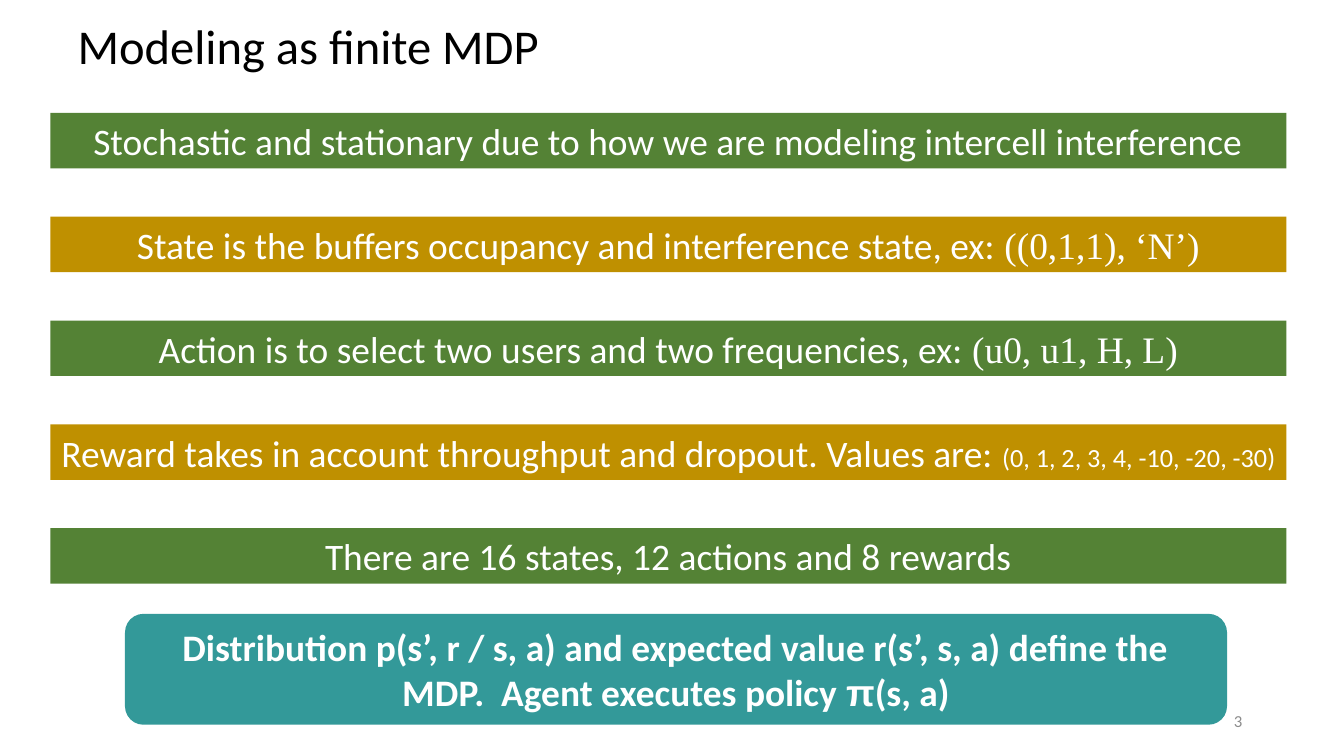
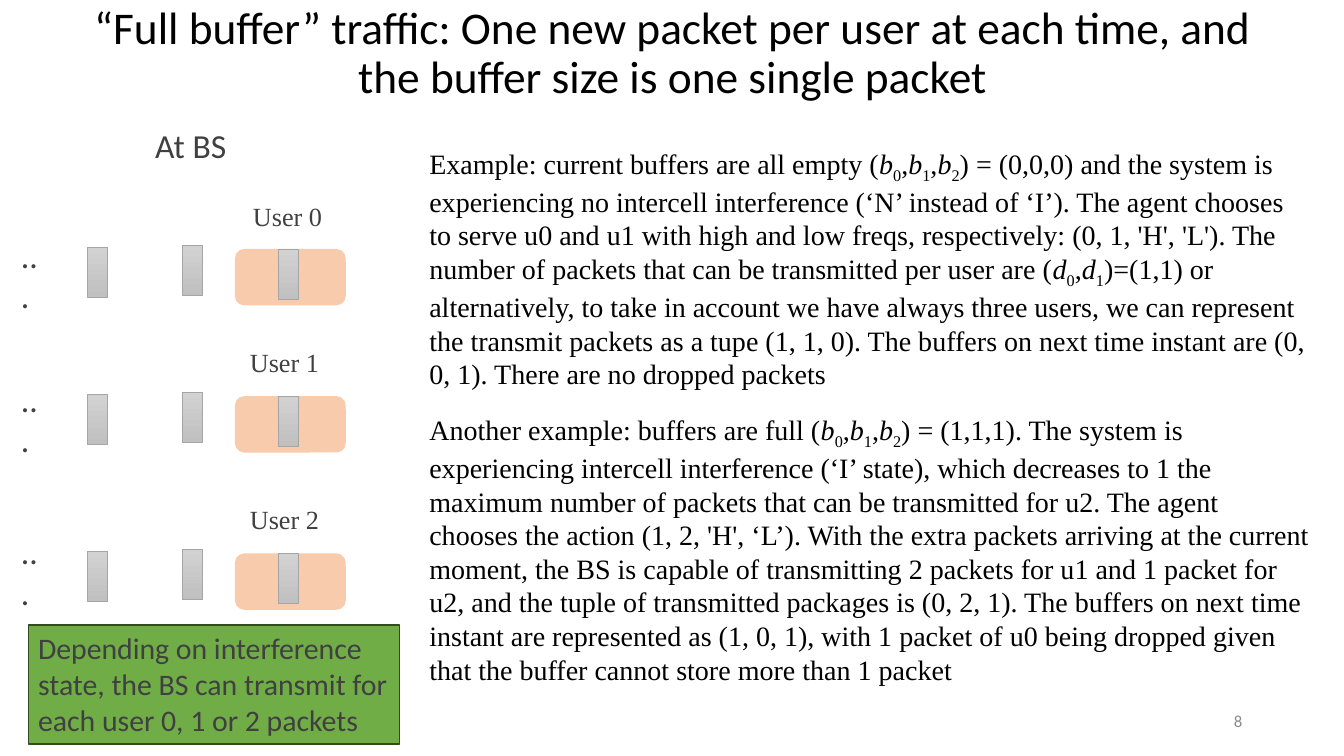
import pptx
import pptx.util
import pptx.dml.color
import pptx.enum.shapes
import pptx.enum.text

PX = 9144
SHAPE = pptx.enum.shapes.MSO_SHAPE
ALIGN = pptx.enum.text.PP_ALIGN
ANCHOR = pptx.enum.text.MSO_ANCHOR
SERIF = "Times New Roman"
COLORS = {
    "black": "000000",
    "white": "FFFFFF",
    "gray": "404040",
    "page": "8C8C8C",
    "green": "548235",
    "gold": "BF9000",
    "teal": "339999",
    "buffer": "F8CBAD",
    "packet_top": "D2D2D2",
    "packet_bottom": "C0C0C0",
    "packet_edge": "A5A5A5",
    "note": "70AD47",
    "note_edge": "314C1F",
}


def rgb(name):
    return pptx.dml.color.RGBColor.from_string(COLORS[name])


def px(*lengths):
    return [pptx.util.Emu(length * PX) for length in lengths]


def add_run(paragraph, text, size=20, font="Calibri", color="black",
            bold=False, italic=False, baseline=0):
    run = paragraph.add_run()
    run.text = text
    run.font.size = pptx.util.Pt(size)
    run.font.name = font
    run.font.bold = bold
    run.font.italic = italic
    run.font.color.rgb = rgb(color)
    if baseline:
        run._r.get_or_add_rPr().set("baseline", str(baseline * 1000))


def indexed(letter, count):
    runs = []
    for index in range(count):
        if index:
            runs.append((",", {}))
        runs.append((letter, {"italic": True}))
        runs.append((str(index), {"baseline": -25}))
    return runs


class Deck:
    def __init__(self):
        self.presentation = pptx.Presentation()
        self.presentation.slide_width, self.presentation.slide_height = px(1333, 750)
        self.slide = None

    def set_text(self, frame, content, align=ALIGN.LEFT, anchor=ANCHOR.TOP,
                 wrap=True, spacing=None, **style):
        frame.auto_size = pptx.enum.text.MSO_AUTO_SIZE.NONE
        frame.word_wrap = wrap
        frame.vertical_anchor = anchor
        frame.margin_left, frame.margin_right = px(10, 10)
        frame.margin_top, frame.margin_bottom = px(5, 5)
        paragraph = frame.paragraphs[0]
        paragraph.alignment = align
        paragraph.line_spacing = spacing
        runs = [(content, {})] if isinstance(content, str) else content
        for text, changes in runs:
            add_run(paragraph, text, **{**style, **changes})

    def start(self, title, number, top, size, align):
        layout = self.presentation.slide_layouts[5]
        self.slide = self.presentation.slides.add_slide(layout)
        heading = self.slide.shapes.title
        heading.left, heading.top, heading.width, heading.height = px(67, top, 1200, 102)
        self.set_text(heading.text_frame, title, align=align, anchor=ANCHOR.MIDDLE,
                      spacing=0.9, size=size)
        self.label((942, 695, 300, 40), number, align=ALIGN.RIGHT,
                   anchor=ANCHOR.MIDDLE, size=12, color="page")

    def label(self, box, content, **style):
        frame = self.slide.shapes.add_textbox(*px(*box)).text_frame
        self.set_text(frame, content, **style)

    def block(self, box, fill, content=None, kind=SHAPE.RECTANGLE, edge=None,
              edge_width=1, **style):
        block = self.slide.shapes.add_shape(kind, *px(*box))
        block.shadow.inherit = False
        block.fill.solid()
        block.fill.fore_color.rgb = rgb(fill)
        if edge:
            block.line.color.rgb = rgb(edge)
            block.line.width = pptx.util.Pt(edge_width)
        else:
            block.line.fill.background()
        if content:
            self.set_text(block.text_frame, content, **style)
        return block

    def packet(self, left, top):
        packet = self.block((left, top, 20, 50), "packet_top",
                            edge="packet_edge", edge_width=0.5)
        packet.fill.gradient()
        packet.fill.gradient_angle = 270
        for stop, color in zip(packet.fill.gradient_stops,
                               ("packet_top", "packet_bottom")):
            stop.color.rgb = rgb(color)

    def queue(self, user, top, label_left, label_top, dots_top):
        self.block((233, top, 110, 56), "buffer", kind=SHAPE.ROUNDED_RECTANGLE)
        for left, rise in ((87, 2), (181, 4), (276, 0)):
            self.packet(left, top - rise)
        self.label((label_left, label_top, 89, 42), f"User {user}", wrap=False,
                   size=18.7, font=SERIF, color="gray")
        self.label((11, dots_top, 42, 50), "...", size=24, color="gray")


def build_model(deck):
    deck.start("Modeling as finite MDP", "3", top=-3, size=34.7, align=ALIGN.LEFT)
    statement = {"size": 26.7, "color": "white", "align": ALIGN.CENTER,
                 "anchor": ANCHOR.MIDDLE}
    facts = [
        "Stochastic and stationary due to how we are modeling intercell interference",
        [("State is the buffers occupancy and interference state, ex: ", {}),
         ("((0,1,1), ‘N’)", {"font": SERIF})],
        [("Action is to select two users and two frequencies, ex: ", {}),
         ("(u0, u1, H, L)", {"font": SERIF})],
        [("Reward takes in account throughput and dropout. Values are: ", {}),
         ("(0, 1, 2, 3, 4, -10, -20, -30)", {"size": 18.7})],
        "There are 16 states, 12 actions and 8 rewards",
    ]
    for row, fact in enumerate(facts):
        deck.block((50, 112 + 103 * row, 1226, 55), ("green", "gold")[row % 2],
                   fact, **statement)
    policy = [
        ("Distribution p(s’, r / s, a) and expected value r(s’, s, a) define the "
         "MDP.  Agent executes policy ", {}),
        ("π", {"font": "Arial"}),
        ("(s, a)", {}),
    ]
    deck.block((124, 609, 1093, 110), "teal", policy,
               kind=SHAPE.ROUNDED_RECTANGLE, bold=True, **statement)


def build_traffic(deck):
    deck.start("“Full buffer” traffic: One new packet per user at each time, and "
               "the buffer size is one single packet", "8",
               top=3, size=32.4, align=ALIGN.CENTER)
    deck.label((144, 119, 98, 50), "At BS", wrap=False, size=24, color="gray")
    queues = ((247, 241, 194, 228), (393, 238, 339, 371), (549, 238, 494, 522))
    for user, places in enumerate(queues):
        deck.queue(user, *places)
    deck.block((28, 620, 368, 118), "note",
               "Depending on interference state, the BS can transmit for each "
               "user 0, 1 or 2 packets",
               edge="note_edge", size=21.3, color="gray")
    empty_buffers = [
        ("Example: current buffers are all empty (", {}),
        *indexed("b", 3),
        (") = (0,0,0) and the system is experiencing no intercell interference "
         "(‘N’ instead of ‘I’). The agent chooses to serve u0 and u1 with high and "
         "low freqs, respectively: (0, 1, 'H', 'L'). The number of packets that "
         "can be transmitted per user are (", {}),
        *indexed("d", 2),
        (")=(1,1) or alternatively, to take in account we have always three users, "
         "we can represent the transmit packets as a tupe (1, 1, 0). The buffers "
         "on next time instant are (0, 0, 1). There are no dropped packets", {}),
    ]
    full_buffers = [
        ("Another example: buffers are full (", {}),
        *indexed("b", 3),
        (") = (1,1,1). The system is experiencing intercell interference (‘I’ "
         "state), which decreases to 1 the maximum number of packets that can be "
         "transmitted for u2. The agent chooses the action (1, 2, 'H', ‘L’). With "
         "the extra packets arriving at the current moment, the BS is capable of "
         "transmitting 2 packets for u1 and 1 packet for u2, and the tuple of "
         "transmitted packages is (0, 2, 1). The buffers on next time instant are "
         "represented as (1, 0, 1), with 1 packet of u0 being dropped given that "
         "the buffer cannot store more than 1 packet", {}),
    ]
    for top, height, example in ((140, 246, empty_buffers), (404, 279, full_buffers)):
        deck.label((416, top, 893, height), example, size=20, font=SERIF)


def main():
    deck = Deck()
    build_model(deck)
    build_traffic(deck)
    deck.presentation.save("out.pptx")


if __name__ == "__main__":
    main()
